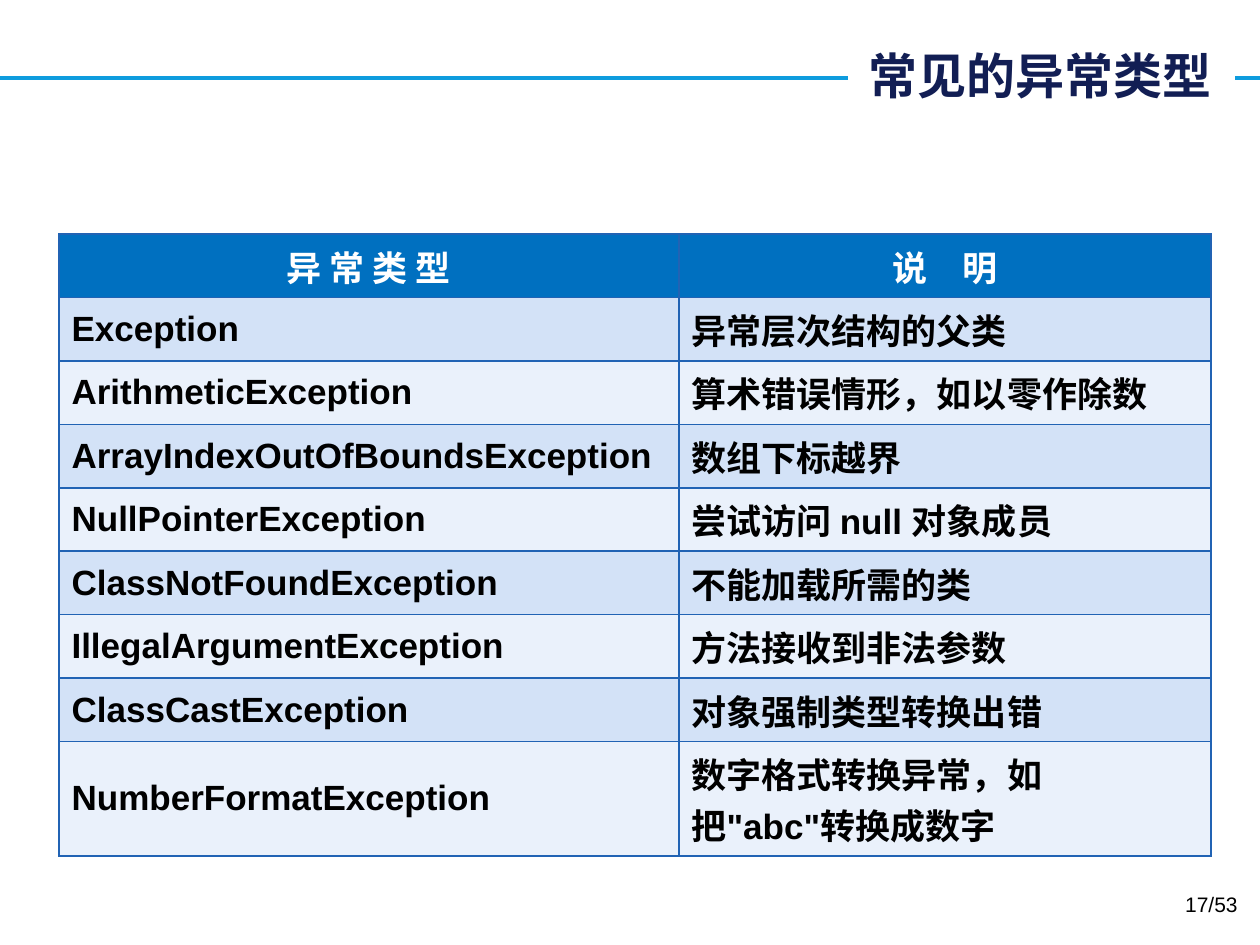
from typing import NamedTuple

from lxml import etree
from pptx import Presentation
from pptx import util as u
from pptx.dml.color import RGBColor
from pptx.enum import shapes, text
from pptx.oxml.ns import qn

PX = 914400 / 126
HUES = {
    "rule": "0E9CDE", "title": "121E54", "head": "0070C0", "odd": "D3E2F7",
    "even": "EAF1FB", "edge": "2163B4", "white": "FFFFFF", "black": "000000",
}
LATIN, HAN = "Arial", "Noto Sans CJK SC"


class Box(NamedTuple):
    left: int
    top: int
    width: int
    height: int


class Style(NamedTuple):
    size: int
    hue: str
    face: str = LATIN
    bold: bool = True


class Row(NamedTuple):
    kind: str
    note: str
    height: int = 63


HEAD = Row("异 常 类 型", "说　明")
ROWS = [
    Row("Exception", "异常层次结构的父类"),
    Row("ArithmeticException", "算术错误情形，如以零作除数"),
    Row("ArrayIndexOutOfBoundsException", "数组下标越界"),
    Row("NullPointerException", "尝试访问 null 对象成员"),
    Row("ClassNotFoundException", "不能加载所需的类"),
    Row("IllegalArgumentException", "方法接收到非法参数"),
    Row("ClassCastException", "对象强制类型转换出错"),
    Row("NumberFormatException", "数字格式转换异常，如把\"abc\"转换成数字", 114),
]
WIDTHS = (620, 532)


def px(n: int) -> u.Emu:
    return u.Emu(round(n * PX))


def color(name: str) -> RGBColor:
    return RGBColor.from_string(HUES[name])


def place(shape, box: Box) -> None:
    shape.left, shape.top, shape.width, shape.height = map(px, box)


def write(frame, words: str, style: Style, align) -> None:
    frame.word_wrap = True
    para = frame.paragraphs[0]
    para.alignment = align
    run = para.add_run()
    run.text = words
    font = run.font
    font.size, font.bold, font.name = u.Pt(style.size), style.bold, style.face
    font.color.rgb = color(style.hue)
    # East Asian face follows the Latin one
    latin = run.font._element.find(qn("a:latin"))
    asian = etree.Element(qn("a:ea"), typeface=HAN)
    latin.addnext(asian)


def edge(cell) -> None:
    props = cell._tc.get_or_add_tcPr()
    for side in ("lnL", "lnR", "lnT", "lnB"):
        line = etree.SubElement(props, qn(f"a:{side}"), w=str(u.Pt(1)))
        fill = etree.SubElement(line, qn("a:solidFill"))
        etree.SubElement(fill, qn("a:srgbClr"), val=HUES["edge"])


def draw_cell(cell, words: str, fill: str, style: Style, align, anchor) -> None:
    edge(cell)
    cell.fill.solid()
    cell.fill.fore_color.rgb = color(fill)
    cell.vertical_anchor = anchor
    write(cell.text_frame, words, style, align)


def draw_title(slide, words: str) -> None:
    title = slide.shapes.title
    place(title, Box(848, 39, 387, 72))
    title.fill.solid()
    title.fill.fore_color.rgb = color("white")
    title.text_frame.vertical_anchor = text.MSO_ANCHOR.MIDDLE
    write(title.text_frame, words, Style(28, "title", HAN), text.PP_ALIGN.RIGHT)

    # Rule runs behind the title
    rule = slide.shapes.add_connector(
        shapes.MSO_CONNECTOR.STRAIGHT, 0, px(78), px(1260), px(78))
    rule.line.color.rgb = color("rule")
    rule.line.width = u.Pt(2.25)
    etree.SubElement(rule.element.spPr, qn("a:effectLst"))
    title.element.addprevious(rule.element)


def draw_table(slide) -> None:
    rows = [HEAD, *ROWS]
    high = sum(row.height for row in rows)
    box = Box(59, 234, sum(WIDTHS), high)
    table = slide.shapes.add_table(len(rows), len(WIDTHS), *map(px, box)).table
    for col, width in zip(table.columns, WIDTHS):
        col.width = px(width)
    for i, row in enumerate(rows):
        table.rows[i].height = px(row.height)
        if i == 0:
            look = ("head", Style(20, "white", HAN),
                    text.PP_ALIGN.CENTER, text.MSO_ANCHOR.TOP)
        else:
            look = ("odd" if i % 2 else "even", Style(20, "black"),
                    text.PP_ALIGN.LEFT, text.MSO_ANCHOR.MIDDLE)
        for j, words in enumerate((row.kind, row.note)):
            draw_cell(table.cell(i, j), words, *look)


def draw_page(slide, words: str) -> None:
    page = slide.shapes.add_textbox(*map(px, Box(956, 885, 294, 50)))
    write(page.text_frame, words, Style(12, "black", bold=False),
          text.PP_ALIGN.RIGHT)


def main() -> None:
    deck = Presentation()
    deck.slide_width, deck.slide_height = px(1260), px(945)
    slide = deck.slides.add_slide(deck.slide_layouts[5])
    draw_title(slide, "常见的异常类型 ")
    draw_table(slide)
    draw_page(slide, "17/53")
    deck.save("out.pptx")


if __name__ == "__main__":
    main()
